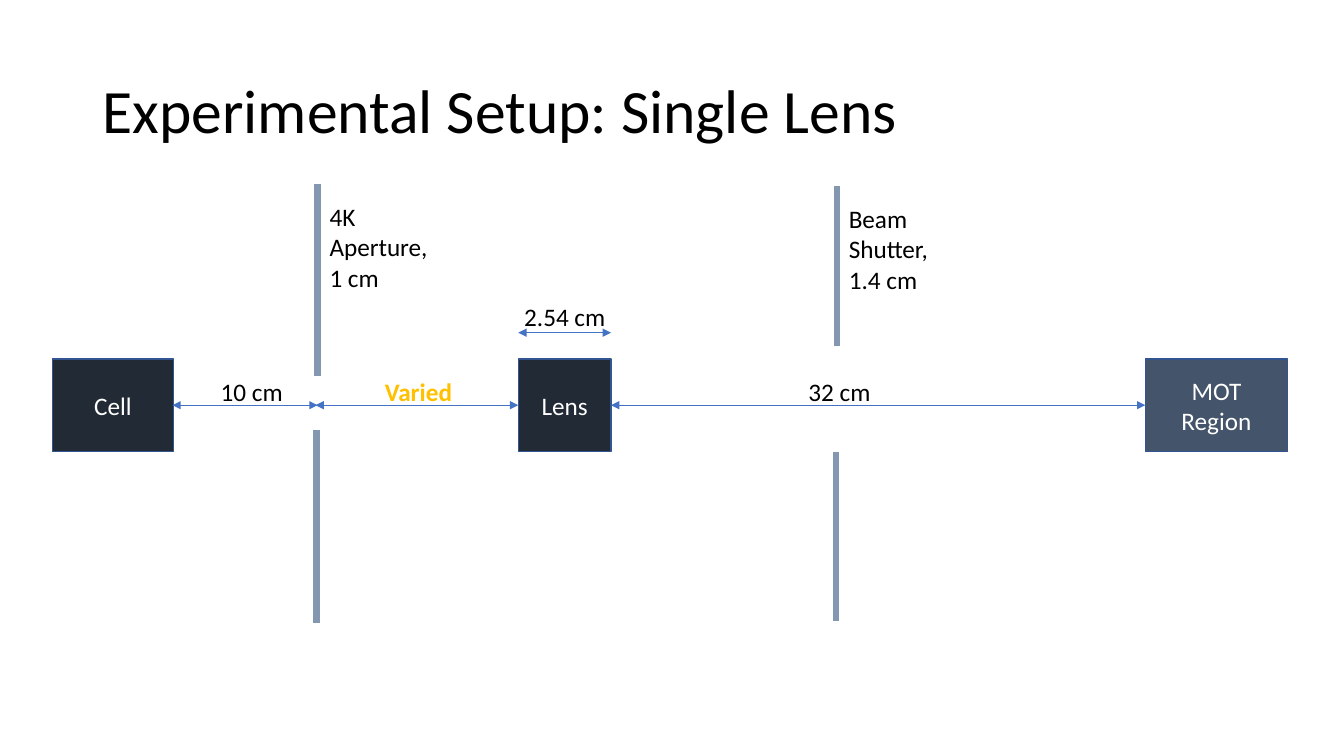
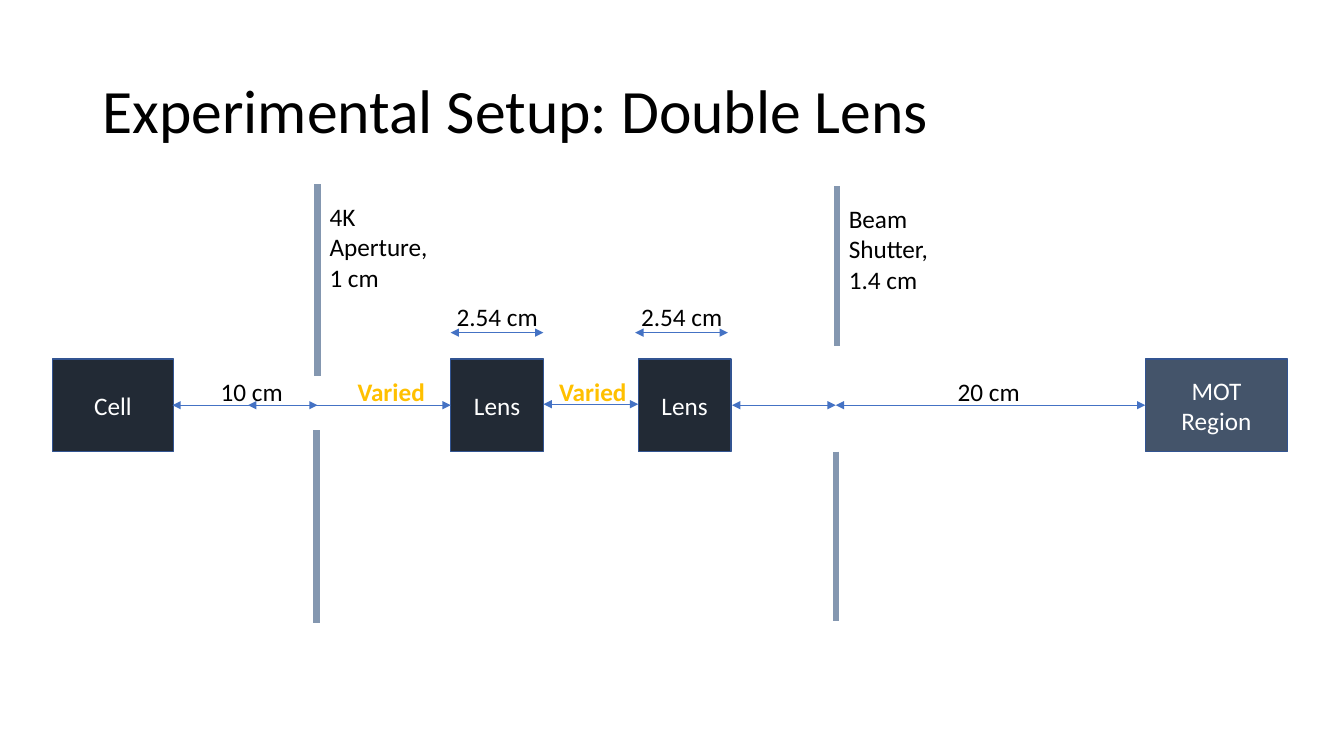
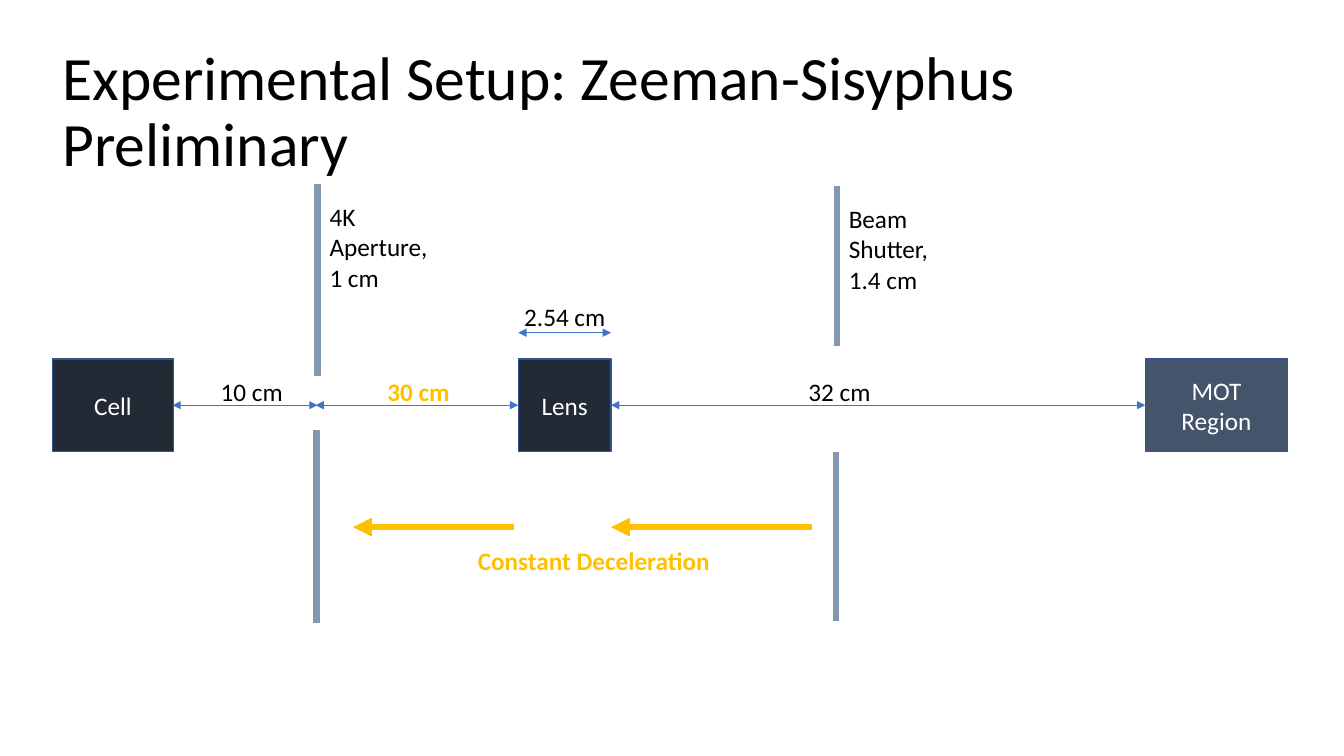
"""Build three slides that show beamline setups with one lens, two lenses and a decelerator."""
from dataclasses import dataclass

from lxml import etree
from pptx import Presentation
from pptx.dml.color import RGBColor
from pptx.enum.shapes import MSO_CONNECTOR, MSO_SHAPE
from pptx.enum.text import MSO_ANCHOR, MSO_AUTO_SIZE, PP_ALIGN
from pptx.oxml.ns import qn
from pptx.util import Inches, Pt

RECT = MSO_SHAPE.RECTANGLE
STRAIGHT = MSO_CONNECTOR.STRAIGHT
MIDDLE = MSO_ANCHOR.MIDDLE
LEFT, CENTER = PP_ALIGN.LEFT, PP_ALIGN.CENTER
GROW = MSO_AUTO_SIZE.SHAPE_TO_FIT_TEXT


@dataclass(frozen=True)
class Theme:
    font: str = "Calibri"
    title_pt: float = 44
    body_pt: float = 18
    wall_pt: float = 4.5
    span_pt: float = 0.5
    edge_pt: float = 1
    text: str = "000000"
    light: str = "FFFFFF"
    dark: str = "222A35"
    slate: str = "44546A"
    edge: str = "325491"
    wall: str = "8497B0"
    span: str = "4472C4"
    accent: str = "FFC000"


@dataclass(frozen=True)
class Box:
    text: str
    x: float
    w: float
    fill: str


@dataclass(frozen=True)
class Wall:
    x: float
    top: float
    gap_top: float
    gap_bottom: float
    bottom: float
    lines: tuple[str, ...]


@dataclass(frozen=True)
class Label:
    text: str
    x: float
    w: float = 0.92
    y: float = 3.68
    accent: bool = False


@dataclass(frozen=True)
class Lens:
    x: float
    size_x: float


@dataclass(frozen=True)
class Span:
    start: float
    end: float
    y: float = 4.02


@dataclass(frozen=True)
class Setup:
    title: str
    lenses: tuple[Lens, ...]
    spans: tuple[Span, ...]
    labels: tuple[Label, ...]
    title_x: float = 0.92
    title_w: float = 11.5
    forces: tuple[Span, ...] = ()


THEME = Theme()
BOX_Y, LENS_SIZE = 3.56, 0.92
SIZE_Y, SIZE_LABEL_Y = 3.3, 2.94
CELL = Box("Cell", 0.52, 1.2, THEME.dark)
MOT = Box("MOT Region", 11.36, 1.41, THEME.slate)
WALLS = (
    Wall(3.15, 1.83, 3.73, 4.27, 6.18, ("4K Aperture,", "1 cm")),
    Wall(8.3, 1.85, 3.43, 4.48, 6.16, ("Beam Shutter,", "1.4 cm")),
)
CELL_SPAN = Span(1.71, 3.15)
CELL_LABEL = Label("10 cm", 2.09)
ONE_LENS = (Lens(5.14, 5.14),)
ONE_LENS_SPANS = (Span(6.06, 11.36), Span(3.13, 5.14))
MOT_LABEL = Label("32 cm", 7.92, 1.08)

SETUPS = (
    Setup("Experimental Setup: Single Lens", ONE_LENS, ONE_LENS_SPANS,
          (MOT_LABEL, Label("Varied", 3.69, accent=True))),
    Setup("Experimental Setup: Double Lens",
          (Lens(4.47, 4.47), Lens(6.33, 6.3)),
          (Span(8.29, 11.36), Span(2.46, 4.47), Span(5.39, 6.33, 4.01), Span(7.26, 8.29)),
          (Label("Varied", 3.42, accent=True), Label("Varied", 5.42, accent=True),
           Label("20 cm", 9.4))),
    Setup("Experimental Setup: Zeeman-Sisyphus Preliminary", ONE_LENS, ONE_LENS_SPANS,
          (MOT_LABEL, Label("30 cm", 3.69, accent=True),
           Label("Constant Deceleration", 4.31, 3.16, 5.36, True)),
          title_x=0.52, title_w=12.55,
          forces=(Span(5.1, 3.5, 5.23), Span(8.05, 6.06, 5.23))),
)


def style(p, size: float, color: str, align=LEFT, bold: bool = False) -> None:
    p.alignment = align
    p.font.name = THEME.font
    p.font.size = Pt(size)
    p.font.bold = bold
    p.font.color.rgb = RGBColor.from_string(color)


def add_text(s, lines: tuple[str, ...], x: float, y: float, w: float, h: float,
             accent: bool = False) -> None:
    tf = s.shapes.add_textbox(Inches(x), Inches(y), Inches(w), Inches(h)).text_frame
    tf.word_wrap = True
    tf.auto_size = GROW
    tf.text = "\n".join(lines)
    for p in tf.paragraphs:
        style(p, THEME.body_pt, THEME.accent if accent else THEME.text,
              CENTER if accent else LEFT, accent)


def add_title(s, setup: Setup) -> None:
    sp = s.shapes.add_textbox(Inches(setup.title_x), Inches(0.4),
                              Inches(setup.title_w), Inches(1.45))
    tf = sp.text_frame
    tf.word_wrap = True
    tf.vertical_anchor = MIDDLE
    tf.text = setup.title
    p = tf.paragraphs[0]
    p.line_spacing = 0.9
    style(p, THEME.title_pt, THEME.text)


def add_box(s, box: Box) -> None:
    sp = s.shapes.add_shape(RECT, Inches(box.x), Inches(BOX_Y), Inches(box.w), Inches(LENS_SIZE))
    sp.shadow.inherit = False
    sp.fill.solid()
    sp.fill.fore_color.rgb = RGBColor.from_string(box.fill)
    sp.line.color.rgb = RGBColor.from_string(THEME.edge)
    sp.line.width = Pt(THEME.edge_pt)
    tf = sp.text_frame
    tf.word_wrap = True
    tf.vertical_anchor = MIDDLE
    tf.text = box.text
    style(tf.paragraphs[0], THEME.body_pt, THEME.light, CENTER)


def add_line(s, x1: float, y1: float, x2: float, y2: float, color: str, width: float,
             ends: tuple[str, ...] = ()) -> None:
    cx = s.shapes.add_connector(STRAIGHT, Inches(x1), Inches(y1), Inches(x2), Inches(y2))
    cx.line.color.rgb = RGBColor.from_string(color)
    cx.line.width = Pt(width)
    sp_pr = cx.element.find(qn("p:spPr"))
    for end in ends:
        etree.SubElement(sp_pr.find(qn("a:ln")), qn(end), type="triangle")
    etree.SubElement(sp_pr, qn("a:effectLst"))


def add_span(s, span: Span) -> None:
    add_line(s, span.start, span.y, span.end, span.y, THEME.span, THEME.span_pt,
             ("a:headEnd", "a:tailEnd"))


def add_label(s, label: Label) -> None:
    add_text(s, (label.text,), label.x, label.y, label.w, 0.4, label.accent)


def add_wall(s, wall: Wall) -> None:
    lower_x = wall.x - 0.01
    add_line(s, lower_x, wall.gap_bottom, lower_x, wall.bottom, THEME.wall, THEME.wall_pt)
    add_line(s, wall.x, wall.top, wall.x, wall.gap_top, THEME.wall, THEME.wall_pt)
    add_text(s, wall.lines, wall.x + 0.02, wall.top + 0.12, 1.26, 1.01)


def add_lens(s, lens: Lens) -> None:
    add_box(s, Box("Lens", lens.x, LENS_SIZE, THEME.dark))
    add_label(s, Label("2.54 cm", lens.size_x - 0.04, 1.08, SIZE_LABEL_Y))
    add_span(s, Span(lens.size_x, lens.size_x + LENS_SIZE, SIZE_Y))


def add_setup(prs, setup: Setup) -> None:
    s = prs.slides.add_slide(prs.slide_layouts[6])
    add_title(s, setup)
    for box in (CELL, MOT):
        add_box(s, box)
    for wall in WALLS:
        add_wall(s, wall)
    for lens in setup.lenses:
        add_lens(s, lens)
    for span in (CELL_SPAN, *setup.spans):
        add_span(s, span)
    for force in setup.forces:
        add_line(s, force.start, force.y, force.end, force.y, THEME.accent, THEME.wall_pt,
                 ("a:tailEnd",))
    for label in (CELL_LABEL, *setup.labels):
        add_label(s, label)


def main() -> None:
    prs = Presentation()
    prs.slide_width = Inches(13.33)
    prs.slide_height = Inches(7.5)
    for setup in SETUPS:
        add_setup(prs, setup)
    prs.save("out.pptx")


if __name__ == "__main__":
    main()
